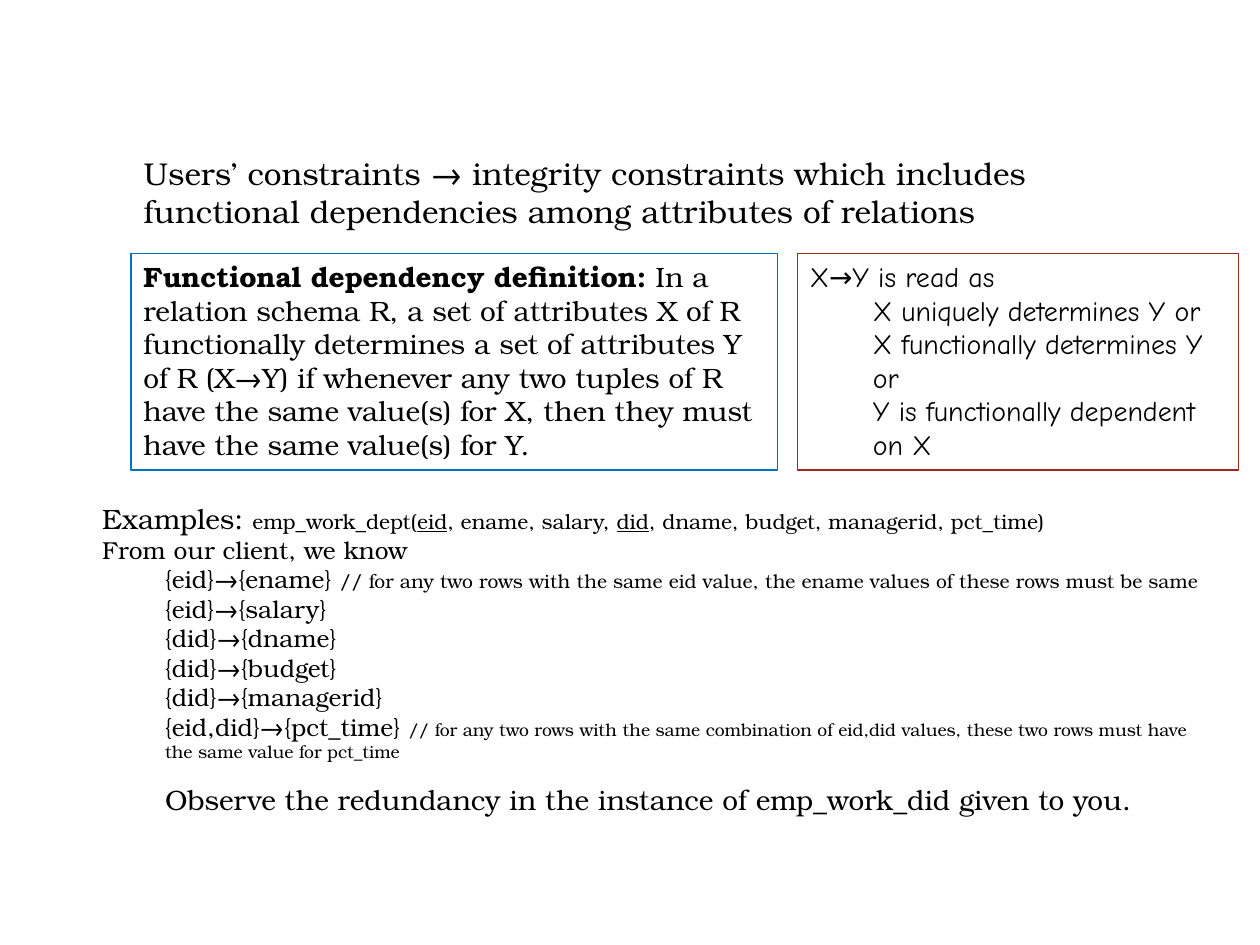
from pptx import Presentation, util as u
from pptx.dml.color import RGBColor
from pptx.enum import shapes, text
from pptx.oxml.ns import qn

COLORS = {"ink": "000000", "definition": "0070C0", "reading": "9B2D1F"}
SERIF, HAND = "TeX Gyre Bonum", "Comic Neue"
COLS, ROWS = 100, 75  # grid cells of a tenth of an inch


class Deck:
    """Holds the style and the current slide."""

    def __init__(self):
        self.prs = Presentation()
        self.prs.slide_width, self.prs.slide_height = u.Inches(10), u.Inches(7.5)
        self.s = self.prs.slides.add_slide(self.prs.slide_layouts[1])

    def place(self, sp, col, row, cols, rows):
        w, h = self.prs.slide_width / COLS, self.prs.slide_height / ROWS
        sp.left, sp.top = round(col * w), round(row * h)
        sp.width, sp.height = round(cols * w), round(rows * h)

    def fill_text(self, sp, paragraphs, size, font=SERIF):
        """Each paragraph is (level, size, runs, space before);
        each run is (text, {font attribute: value})."""
        tf = sp.text_frame
        tf.word_wrap = True
        tf.auto_size = text.MSO_AUTO_SIZE.NONE
        tf.vertical_anchor = text.MSO_ANCHOR.TOP
        for i, (level, p_size, runs, before) in enumerate(paragraphs):
            p = tf.add_paragraph() if i else tf.paragraphs[0]
            p.level, p.alignment = level, text.PP_ALIGN.LEFT
            p.space_before, p.space_after = u.Pt(before), u.Pt(0)
            p.font.name, p.font.size = font, u.Pt(p_size or size)
            p.font.color.rgb = RGBColor.from_string(COLORS["ink"])
            pPr = p._p.get_or_add_pPr()
            pPr.set("marL", str(u.Inches(0.5 * level)))
            pPr.set("indent", "0")
            pPr.insert_element_before(pPr.makeelement(qn("a:buNone"), {}),
                                      "a:tabLst", "a:defRPr", "a:extLst")
            for words, look in runs:
                r = p.add_run()
                r.text = words
                r.font.name, r.font.size = font, u.Pt(p_size or size)
                r.font.color.rgb = RGBColor.from_string(COLORS["ink"])
                for name, value in look.items():
                    if name == "size":
                        r.font.size = u.Pt(value)
                    elif name == "bold":
                        r.font.bold = value
                    elif name == "underline":
                        r.font.underline = value

    def title(self, grid, words, size):
        self.place(self.s.shapes.title, *grid)
        self.fill_text(self.s.shapes.title, [line(words)], size)

    def body(self, grid, paragraphs, size):
        self.place(self.s.placeholders[1], *grid)
        self.fill_text(self.s.placeholders[1], paragraphs, size)

    def box(self, grid, color, paragraphs, size, font=SERIF):
        sp = self.s.shapes.add_shape(shapes.MSO_SHAPE.RECTANGLE, 0, 0, 0, 0)
        self.place(sp, *grid)
        sp.shadow.inherit = False
        sp.fill.background()
        sp.line.color.rgb = RGBColor.from_string(COLORS[color])
        sp.line.width = u.Pt(0.75)
        self.fill_text(sp, paragraphs, size, font)


def line(*runs, level=0, size=None, before=0):
    """A paragraph; plain strings become runs without extra formatting."""
    runs = [(r, {}) if isinstance(r, str) else r for r in runs]
    return level, size, runs, before


def main():
    deck = Deck()

    # Heading
    deck.title((10.4, 11.7, 79.2, 7.1),
               "Users’ constraints → integrity constraints which includes "
               "functional dependencies among attributes of relations", 18)

    # Definition and how to read it
    top, height = 20.1, 17.2
    deck.box((10.4, top, 51.3, height), "definition", [
        line(("Functional dependency definition:", {"bold": True}),
             " In a relation schema R, a set of attributes X of R functionally "
             "determines a set of attributes Y of R (X→Y) if whenever any two "
             "tuples of R have the same value(s) for X, then they must have "
             "the same value(s) for Y.")], 16)
    readings = ["X uniquely determines Y or", "X functionally determines Y or",
                "Y is functionally dependent on X"]
    deck.box((63.3, top, 35, height), "reading",
             [line("X→Y is read as")] + [line(t, level=1) for t in readings],
             16, HAND)

    # Examples
    small, key = {"size": 12}, {"size": 12, "underline": True}
    plain = ["{eid}→{salary}", "{did}→{dname}", "{did}→{budget}",
             "{did}→{managerid}"]
    deck.body((7.1, 39.3, 89.7, 26.3), [
        line("Examples: ", ("emp_work_dept(", small), ("eid", key),
             (", ename, salary, ", small), ("did", key),
             (", dname, budget, managerid, pct_time)", small), size=16),
        line("From our client, we know"),
        line("{eid}→{ename} ",
             ("// for any two rows with the same eid value, the ename values "
              "of these rows must be same", {"size": 11}), level=1),
        *[line(t, level=1) for t in plain],
        line("{eid,did}→{pct_time} ",
             ("// for any two rows with the same combination of eid,did "
              "values, these two rows must have the same value for pct_time",
              {"size": 10}), level=1),
        line("Observe the redundancy in the instance of emp_work_did given "
             "to you.", level=1, size=16, before=12),
    ], 14)

    deck.prs.save("out.pptx")


if __name__ == "__main__":
    main()
